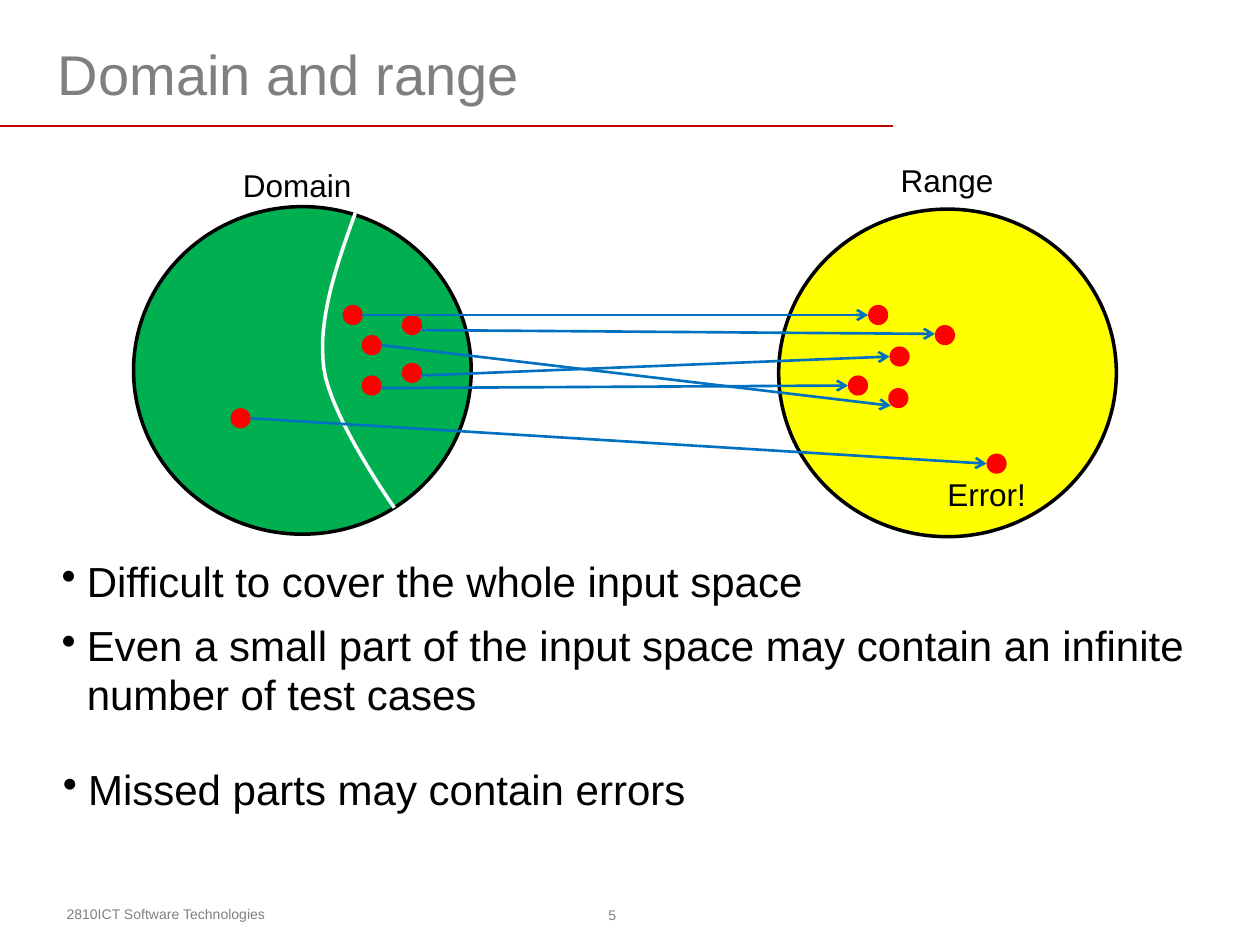
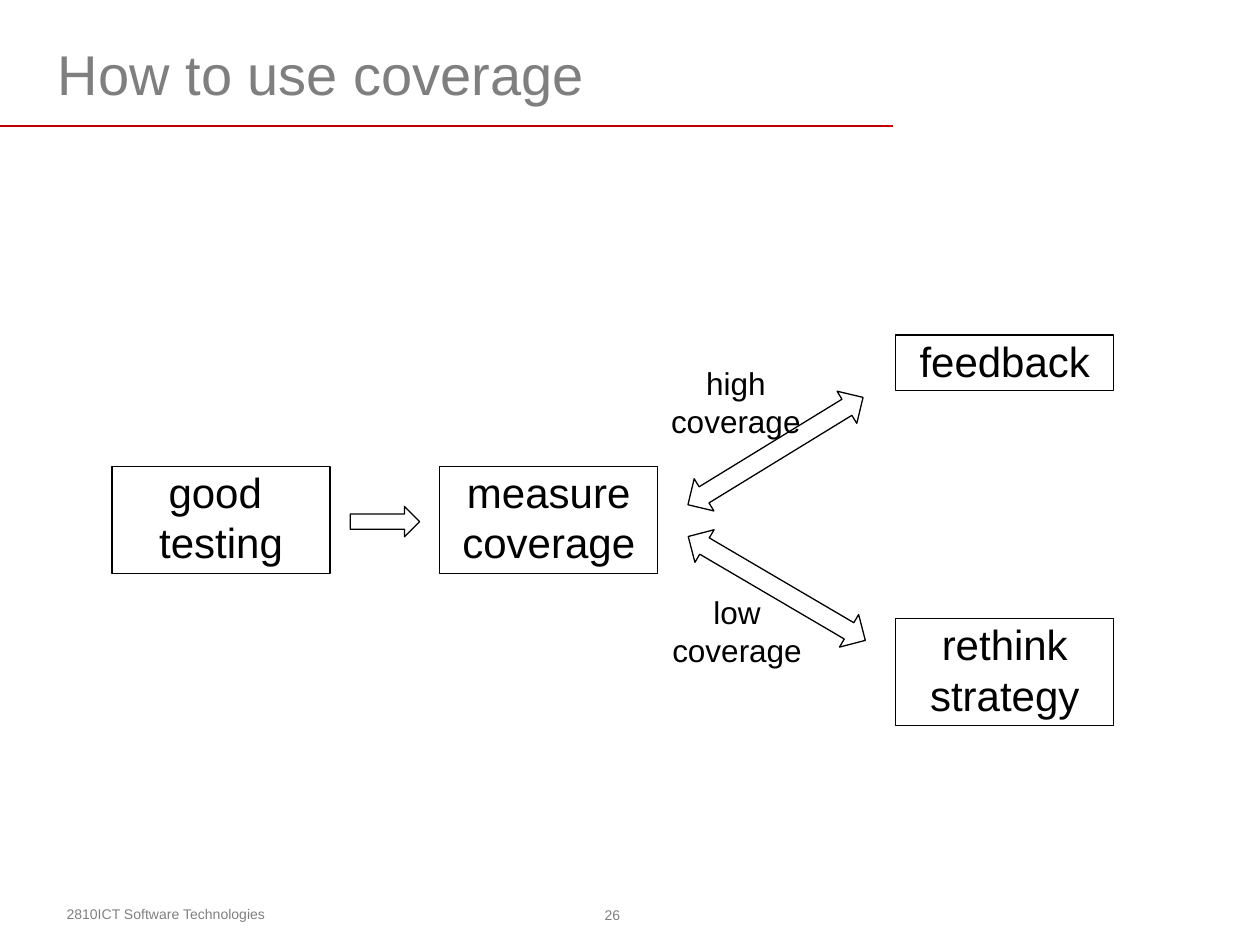
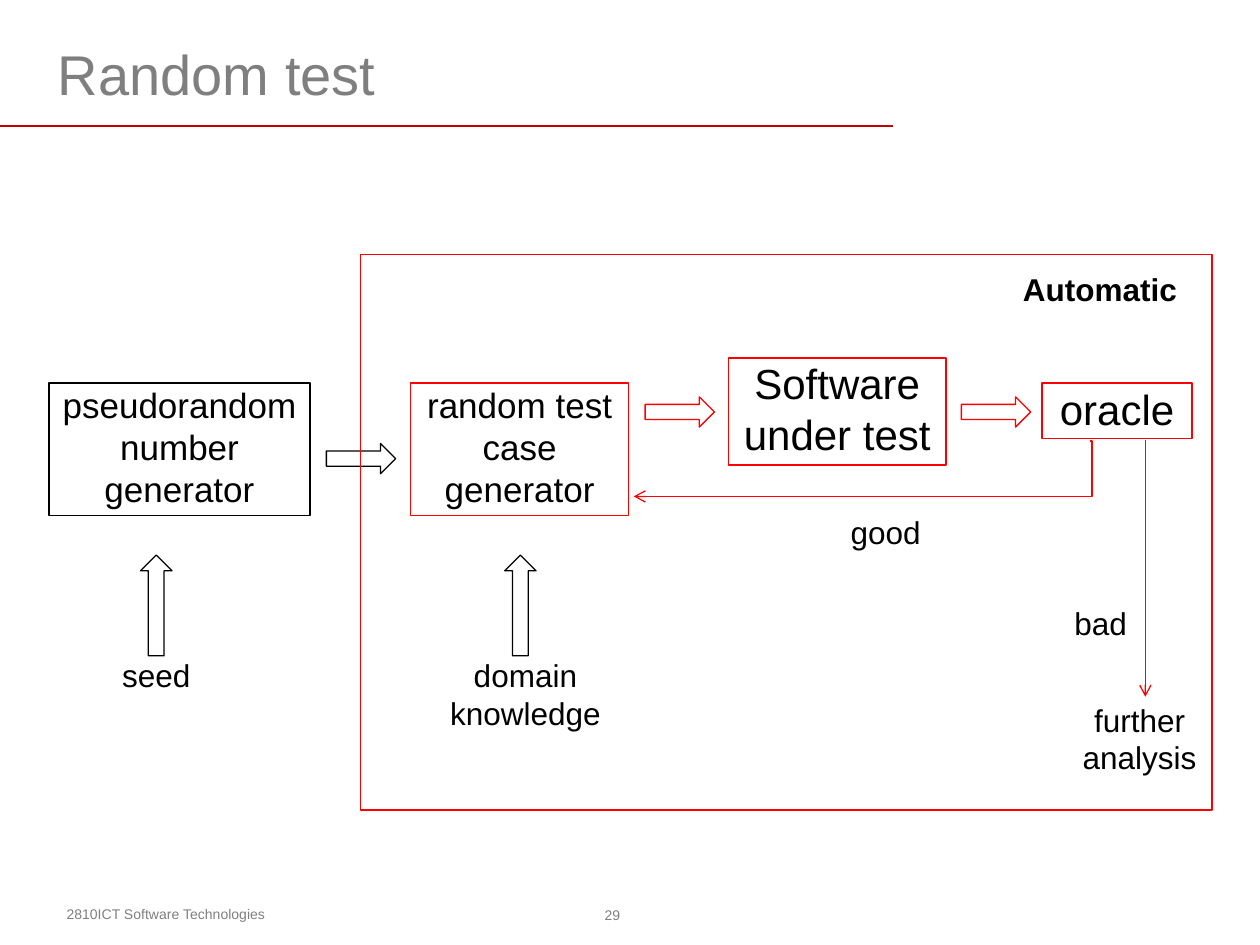
from lxml import etree
from pptx import Presentation
from pptx.dml.color import RGBColor
from pptx.enum import shapes, text
from pptx.oxml import ns
from pptx.util import Inches, Pt

BLACK, WHITE, RED, BLUE = "000000", "FFFFFF", "FF0000", "0070C0"
GREEN, YELLOW, RULE, TITLE_GREY, FOOTER_GREY = "00B050", "FFFF00", "C00000", "7F7F7F", "808080"
FONT = "Arial"
FOOTER = "2810ICT Software Technologies"
LEFT, CENTER = text.PP_ALIGN.LEFT, text.PP_ALIGN.CENTER
TOP, MIDDLE = text.MSO_ANCHOR.TOP, text.MSO_ANCHOR.MIDDLE
PRESET = shapes.MSO_SHAPE
DOT = 0.16
LABEL_INSETS = (0.1, 0, 0.1, 0.04)
BODY_INSETS = (0.1, 0.05, 0.1, 0.05)


def rgb(value):
    """Turn a hex string into a colour."""
    return RGBColor.from_string(value)


def set_all(target, values):
    """Set each attribute named in a dict."""
    for name, value in values.items():
        setattr(target, name, value)


def add_xml(parent, tag, **attributes):
    """Append a DrawingML element with the given attributes."""
    return etree.SubElement(parent, ns.qn(tag), attributes)


def write(shape, words, size, color=BLACK, align=CENTER, anchor=TOP,
          insets=LABEL_INSETS, wrap=True, bold=False):
    """Fill a shape with formatted text, one paragraph per line."""
    frame = shape.text_frame
    frame.text = words
    left, top, right, bottom = map(Inches, insets)
    set_all(frame, {"word_wrap": wrap, "auto_size": text.MSO_AUTO_SIZE.NONE,
                    "vertical_anchor": anchor, "margin_left": left, "margin_top": top,
                    "margin_right": right, "margin_bottom": bottom})
    for paragraph in frame.paragraphs:
        paragraph.alignment = align
        for run in paragraph.runs:
            set_all(run.font, {"name": FONT, "size": Pt(size), "bold": bold})
            run.font.color.rgb = rgb(color)


def add_label(slide, box, words, size=18, **style):
    """Add a text box."""
    label = slide.shapes.add_textbox(*map(Inches, box))
    write(label, words, size, **style)
    return label


def paint(shape, fill=None, line=None, width=0.75):
    """Give a shape its fill and outline, without a shadow."""
    shape.shadow.inherit = False
    if fill:
        shape.fill.solid()
        shape.fill.fore_color.rgb = rgb(fill)
    else:
        shape.fill.background()
    if line:
        shape.line.color.rgb = rgb(line)
        shape.line.width = Pt(width)
    else:
        shape.line.fill.background()


def add_preset(slide, preset, box, rotation=0, **style):
    """Add a painted preset shape."""
    shape = slide.shapes.add_shape(preset, *map(Inches, box))
    shape.rotation = rotation
    paint(shape, **style)
    return shape


def add_step(slide, box, words, size=24, line=BLACK):
    """Add an outlined process box."""
    write(add_preset(slide, PRESET.RECTANGLE, box, line=line), words, size)


def add_line(slide, start, end, color, width, arrow=True, bend=None):
    """Add a straight line, or an elbow when a bend is given."""
    kind = shapes.MSO_CONNECTOR.STRAIGHT if bend is None else shapes.MSO_CONNECTOR.ELBOW
    connector = slide.shapes.add_connector(kind, *map(Inches, start + end))
    connector.line.color.rgb = rgb(color)
    connector.line.width = Pt(width)
    properties = connector._element.spPr
    if arrow:
        add_xml(properties.find(ns.qn("a:ln")), "a:tailEnd", type="arrow")
    if bend is not None:
        guides = properties.find(".//" + ns.qn("a:avLst"))
        add_xml(guides, "a:gd", name="adj1", fmla=f"val {bend}")
    add_xml(properties, "a:effectLst")


def add_dot(slide, left, top):
    """Add one test case or result point."""
    add_preset(slide, PRESET.OVAL, (left, top, DOT, DOT), fill=RED)


def add_bullets(slide, box, words):
    """Add a bulleted list."""
    bullets = add_label(slide, box, words, 24, align=LEFT, insets=BODY_INSETS)
    for index, paragraph in enumerate(bullets.text_frame.paragraphs):
        set_all(paragraph, {"line_spacing": 0.97, "space_before": Pt(9 if index else 0)})
        properties = paragraph._p.get_or_add_pPr()
        properties.set("marL", str(Inches(0.2)))
        properties.set("indent", str(-Inches(0.2)))
        add_xml(properties, "a:buChar", char="•")


def add_curve(slide, start, segments, color, width):
    """Add an open outline through cubic segments."""
    points, origin, steps = [], start, 16
    for first, second, end in segments:
        for step in range(1, steps + 1):
            t = step / steps
            weights = ((1 - t) ** 3, 3 * t * (1 - t) ** 2, 3 * t * t * (1 - t), t ** 3)
            corners = zip(*(origin, first, second, end))
            points.append([Inches(sum(w * c for w, c in zip(weights, axis))) for axis in corners])
        origin = end
    builder = slide.shapes.build_freeform(*map(Inches, start))
    builder.add_line_segments(points, close=False)
    paint(builder.convert_to_shape(), line=color, width=width)


def add_slide(deck, heading, number):
    """Add a slide with title, rule, footer and number."""
    slide = deck.slides.add_slide(deck.slide_layouts[5])
    title = slide.shapes.title
    set_all(title, {"left": Inches(0.39), "top": Inches(0.28),
                    "width": Inches(7.42), "height": Inches(0.6)})
    write(title, heading, 32, color=TITLE_GREY, align=LEFT, anchor=MIDDLE,
          insets=(0.07, 0.03, 0.07, 0.03))
    add_line(slide, (0, 1), (7.09, 1), RULE, 1, arrow=False)
    add_label(slide, (0.43, 7.14, 4.17, 0.24), FOOTER, 8, color=FOOTER_GREY,
              align=LEFT, insets=BODY_INSETS)
    add_label(slide, (4.74, 7.13, 0.24, 0.26), str(number), 8, color=FOOTER_GREY,
              anchor=MIDDLE, insets=(0.04,) * 4, wrap=False)
    return slide


def build_domain(deck):
    """Map test cases from the domain to the range."""
    slide = add_slide(deck, "Domain and range", 5)
    for left, top, fill in ((1.06, 1.64, GREEN), (6.18, 1.66, YELLOW)):
        add_preset(slide, PRESET.OVAL, (left, top, 2.68, 2.6), fill=fill, line=BLACK, width=2)
    inputs = [(3.19, 2.5), (3.19, 2.88), (2.87, 2.66), (2.87, 2.98), (2.72, 2.42), (1.83, 3.24)]
    outputs = [(6.89, 2.42), (7.06, 2.75), (7.05, 3.08), (7.42, 2.58), (6.73, 2.98), (7.83, 3.6)]
    for point in inputs + outputs:
        add_dot(slide, *point)
    add_curve(slide, (2.82, 1.69), [((2.67, 2.11), (2.52, 2.53), (2.57, 2.92)),
                                    ((2.62, 3.31), (3.13, 4.03), (3.13, 4.03))], WHITE, 2)
    mappings = [((2.87, 2.5), (6.89, 2.5)), ((3.35, 2.62), (7.42, 2.65)),
                ((3.03, 2.74), (7.07, 3.22)), ((3.03, 3.08), (6.73, 3.06)),
                ((3.35, 2.98), (7.06, 2.83)), ((1.99, 3.32), (7.83, 3.68))]
    for start, end in mappings:
        add_line(slide, start, end, BLUE, 1.5)
    for box, name in (((1.83, 1.27, 1.14, 0.4), "Domain"), ((7.05, 1.23, 0.95, 0.4), "Range")):
        add_label(slide, box, name, align=LEFT, insets=BODY_INSETS, wrap=False)
    add_label(slide, (7.42, 3.77, 1.1, 0.34), "Error!", align=LEFT)
    add_bullets(slide, (0.39, 4.38, 9.31, 1.65),
                "Difficult to cover the whole input space\n"
                "Even a small part of the input space may contain an infinite number of test cases")
    add_bullets(slide, (0.4, 6.03, 9.45, 0.79), "Missed parts may contain errors")


def build_coverage(deck):
    """Show what follows from measuring coverage."""
    slide = add_slide(deck, "How to use coverage", 26)
    steps = [(0.89, 3.7, 0.85, "good \ntesting"), (3.49, 3.7, 0.85, "measure coverage"),
             (7.11, 2.66, 0.44, "feedback"), (7.11, 4.91, 0.85, "rethink strategy")]
    for left, top, height, words in steps:
        add_step(slide, (left, top, 1.73, height), words)
    add_preset(slide, PRESET.RIGHT_ARROW, (2.78, 4.02, 0.55, 0.24), line=BLACK)
    for left, top, rotation in ((5.34, 3.43, 328.5), (5.35, 4.52, 210.4)):
        add_preset(slide, PRESET.LEFT_RIGHT_ARROW, (left, top, 1.63, 0.3), rotation, line=BLACK)
    add_label(slide, (4.99, 2.89, 1.7, 0.65), "high coverage")
    add_label(slide, (5, 4.71, 1.7, 0.65), "low\ncoverage")


def build_random(deck):
    """Show the random testing loop."""
    slide = add_slide(deck, "Random test", 29)
    steps = [((0.39, 3.04, 2.07, 1.05), "pseudorandom number generator", 20, BLACK),
             ((3.26, 3.04, 1.73, 1.05), "random test case generator", 20, RED),
             ((5.78, 2.84, 1.73, 0.85), "Software under test", 24, RED),
             ((8.27, 3.04, 1.19, 0.44), "oracle", 24, RED)]
    for step in steps:
        add_step(slide, *step)
    for left, top, color in ((2.59, 3.52, BLACK), (5.12, 3.15, RED), (7.63, 3.15, RED)):
        add_preset(slide, PRESET.RIGHT_ARROW, (left, top, 0.55, 0.24), line=color)
    for left in (0.84, 3.73):
        add_preset(slide, PRESET.RIGHT_ARROW, (left, 4.68, 0.8, 0.25), 270, line=BLACK)
    add_line(slide, (8.65, 3.5), (5.03, 3.94), RED, 0.75, bend=-500)
    add_line(slide, (9.09, 3.49), (9.09, 5.53), RED, 0.75)
    labels = [((0.39, 5.21, 1.7, 0.34), "seed"), ((3.32, 5.21, 1.7, 0.65), "domain knowledge"),
              ((6.18, 4.07, 1.7, 0.34), "good"), ((8.31, 4.79, 0.85, 0.34), "bad"),
              ((8.46, 5.56, 1.17, 0.65), "further analysis")]
    for box, words in labels:
        add_label(slide, box, words)
    add_preset(slide, PRESET.RECTANGLE, (2.86, 2.02, 6.76, 4.41), line=RED)
    add_label(slide, (7.88, 2.14, 1.7, 0.34), "Automatic", bold=True)


def main():
    """Build and save the deck."""
    deck = Presentation()
    set_all(deck, {"slide_width": Inches(10), "slide_height": Inches(7.5)})
    for build in (build_domain, build_coverage, build_random):
        build(deck)
    deck.save("out.pptx")


if __name__ == "__main__":
    main()
